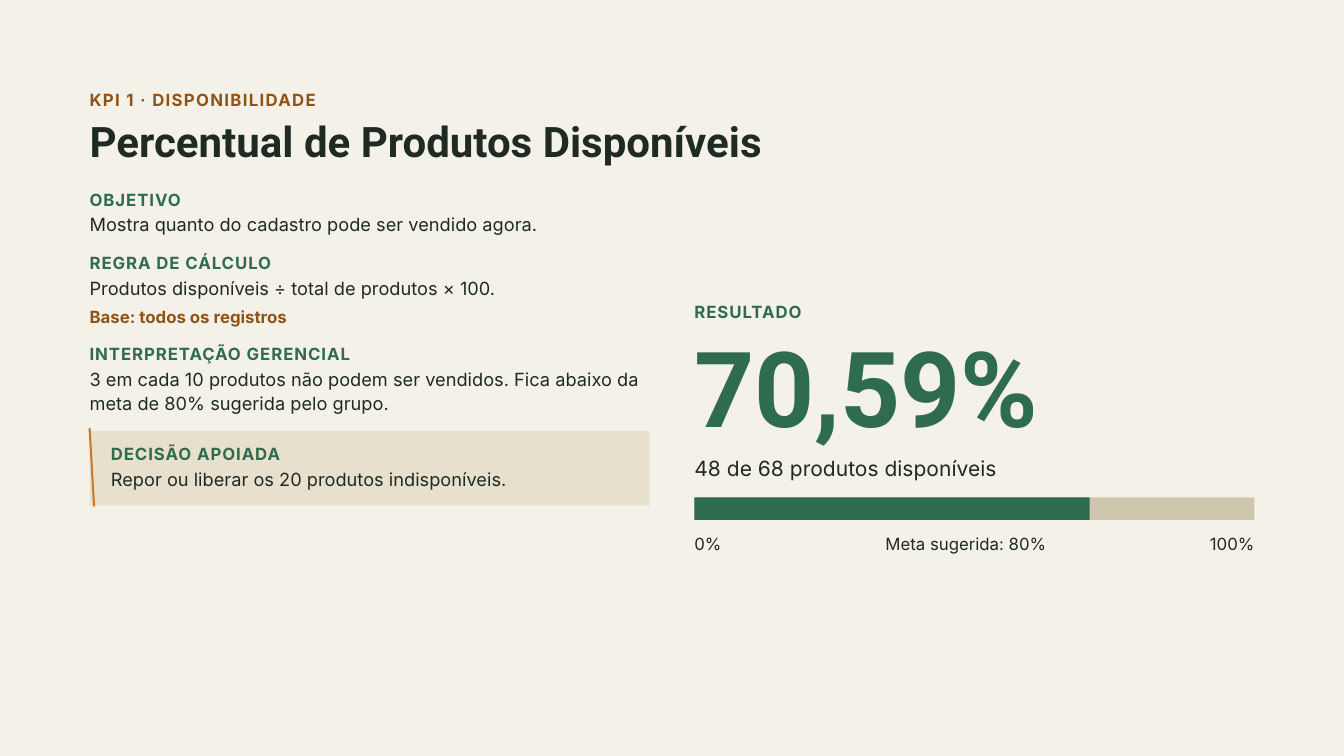
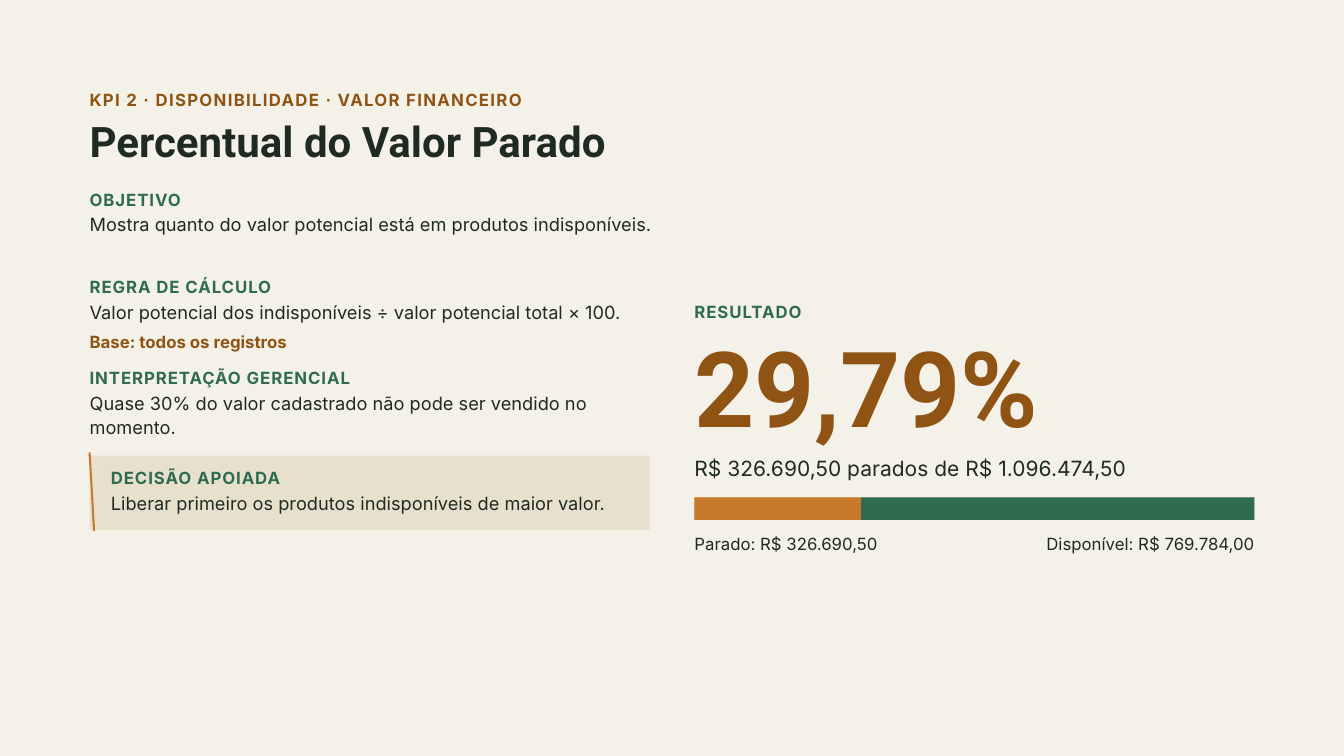
from dataclasses import dataclass

from lxml import etree
from pptx import Presentation
from pptx.dml.color import RGBColor
from pptx.enum.shapes import MSO_CONNECTOR, MSO_SHAPE
from pptx.enum.text import MSO_ANCHOR, MSO_AUTO_SIZE, PP_ALIGN
from pptx.oxml.ns import qn
from pptx.util import Inches, Pt

LEFT, RIGHT = PP_ALIGN.LEFT, PP_ALIGN.RIGHT
TOP = MSO_ANCHOR.TOP
GROW = MSO_AUTO_SIZE.SHAPE_TO_FIT_TEXT
RECT = MSO_SHAPE.RECTANGLE
STRAIGHT = MSO_CONNECTOR.STRAIGHT
TITLE_ONLY = 5


@dataclass(frozen=True)
class Role:
    size: float
    leading: float
    height: float
    font: str = "Inter"
    bold: bool = False
    spacing: float = 0


@dataclass(frozen=True)
class Theme:
    paper: str = "F4F1E8"
    ink: str = "1F2A22"
    green: str = "2F6B4F"
    brown: str = "8F5314"
    orange: str = "C8792B"
    sand: str = "E7E0CD"
    track: str = "CFC6AE"
    kicker: Role = Role(18, 21.6, 1.02, bold=True, spacing=1.4)
    title: Role = Role(45, 49.5, 2.13, font="Roboto", bold=True)
    label: Role = Role(18, 21.6, 1.02, bold=True, spacing=1)
    body: Role = Role(19.5, 26.3, 1.35)
    base: Role = Role(18, 24.3, 1.22, bold=True)
    figure: Role = Role(112.5, 129.4, 5.52, font="Roboto", bold=True)
    detail: Role = Role(22.5, 30.4, 1.53)
    scale: Role = Role(18, 21.6, 1.02)


T = Theme()
WIDTH, HEIGHT = Inches(20), Inches(11.25)
CELL = WIDTH / 60
MARGIN, RESULT = 4, 31
PANEL_W, TEXT_W, TITLE_W = 25, 25.75, 53.55
INDENT = 0.95
LABEL_STEP, EXTRA_LINE, GAP = 0.97, 1.09, 0.51


def grid(*cells):
    return [round(c * CELL) for c in cells]


def rgb(color):
    return RGBColor.from_string(color)


def write(tf, text, role=T.body, color=T.ink, align=LEFT):
    tf.margin_left = tf.margin_right = tf.margin_top = tf.margin_bottom = 0
    tf.word_wrap = True
    tf.auto_size = GROW
    tf.vertical_anchor = TOP
    p = tf.paragraphs[0]
    p.alignment = align
    p.line_spacing = Pt(role.leading)
    r = p.add_run()
    r.text = text
    r.font.name, r.font.size, r.font.bold = role.font, Pt(role.size), role.bold
    r.font.color.rgb = rgb(color)
    if role.spacing:
        r.font._element.set("spc", str(round(role.spacing * 100)))


class Deck:
    def __init__(self, theme):
        self.t = theme
        self.prs = Presentation()
        self.prs.slide_width, self.prs.slide_height = WIDTH, HEIGHT
        self.s = None

    def slide(self, kicker, title):
        self.s = self.prs.slides.add_slide(self.prs.slide_layouts[TITLE_ONLY])
        fill = self.s.background.fill
        fill.solid()
        fill.fore_color.rgb = rgb(self.t.paper)
        self.text(kicker, MARGIN, 4, TITLE_W, role=self.t.kicker, color=self.t.brown)
        sp = self.s.shapes.title
        sp.left, sp.top, sp.width, sp.height = grid(MARGIN, 5.35, TITLE_W, self.t.title.height)
        write(sp.text_frame, title, role=self.t.title)

    def text(self, text, x, y, w=TEXT_W, lines=1, role=T.body, **fmt):
        h = role.height + (lines - 1) * EXTRA_LINE
        sp = self.s.shapes.add_textbox(*grid(x, y, w, h))
        write(sp.text_frame, text, role=role, **fmt)
        return y + h

    def label(self, text, x, y, w=TEXT_W):
        self.text(text, x, y, w, role=self.t.label, color=self.t.green)
        return y + LABEL_STEP

    def rect(self, x, y, w, h, color):
        sp = self.s.shapes.add_shape(RECT, *grid(x, y, w, h))
        sp.shadow.inherit = False
        sp.fill.solid()
        sp.fill.fore_color.rgb = rgb(color)
        sp.line.fill.background()

    def line(self, x1, y1, x2, y2, color, width=2.25):
        sp = self.s.shapes.add_connector(STRAIGHT, *grid(x1, y1, x2, y2))
        sp.line.color.rgb = rgb(color)
        sp.line.width = Pt(width)
        etree.SubElement(sp._element.spPr, qn("a:effectLst"))

    def section(self, label, text, y, lines=1, base=None):
        y = self.text(text, MARGIN, self.label(label, MARGIN, y), lines=lines)
        if base:
            y = self.text(base, MARGIN, y, role=self.t.base, color=self.t.brown)
        return y + GAP

    def decision(self, text, y, h=3.31):
        self.rect(MARGIN, y, PANEL_W, h, self.t.sand)
        self.line(MARGIN, y - 0.14, MARGIN + 0.2, y + h + 0.05, self.t.orange)
        x, w = MARGIN + INDENT, PANEL_W - INDENT
        self.text(text, x, self.label("DECISÃO APOIADA", x, y + 0.55, w), w)

    def bar(self, parts, y=22.21, h=1):
        self.rect(RESULT, y, PANEL_W, h, self.t.track)
        x = RESULT
        for share, color in parts:
            self.rect(x, y, share * PANEL_W, h, color)
            x += share * PANEL_W

    def scale(self, marks, y=23.82):
        gap = (PANEL_W - sum(w for _, w in marks)) / (len(marks) - 1)
        x = RESULT
        for i, (text, w) in enumerate(marks):
            box = w * 1.2
            last = i == len(marks) - 1
            self.text(text, RESULT + PANEL_W - box if last else x, y, box,
                      role=self.t.scale, align=RIGHT if last else LEFT)
            x += w + gap

    def result(self, figure, color, detail, parts, marks):
        self.label("RESULTADO", RESULT, 13.47)
        self.text(figure, RESULT, 14.65, role=self.t.figure, color=color)
        self.text(detail, RESULT, 20.18, role=self.t.detail)
        self.bar(parts)
        self.scale(marks)

    def kpi(self, kicker, title, goal, rule, reading, decision, result, goal_lines=1):
        self.slide(kicker, title)
        y = self.section("OBJETIVO", goal, 8.45, lines=goal_lines)
        y = self.section("REGRA DE CÁLCULO", rule, y, base="Base: todos os registros")
        y = self.section("INTERPRETAÇÃO GERENCIAL", reading, y, lines=2)
        self.decision(decision, y)
        self.result(**result)


def main():
    deck = Deck(T)
    deck.kpi(
        kicker="KPI 1 · DISPONIBILIDADE",
        title="Percentual de Produtos Disponíveis",
        goal="Mostra quanto do cadastro pode ser vendido agora.",
        rule="Produtos disponíveis ÷ total de produtos × 100.",
        reading="3 em cada 10 produtos não podem ser vendidos. "
                "Fica abaixo da meta de 80% sugerida pelo grupo.",
        decision="Repor ou liberar os 20 produtos indisponíveis.",
        result=dict(
            figure="70,59%", color=T.green, detail="48 de 68 produtos disponíveis",
            parts=[(48 / 68, T.green)],
            marks=[("0%", 1.23), ("Meta sugerida: 80%", 7.18), ("100%", 2)],
        ),
    )
    stopped, available = 326690.50, 769784.00
    total = stopped + available
    deck.kpi(
        kicker="KPI 2 · DISPONIBILIDADE · VALOR FINANCEIRO",
        title="Percentual do Valor Parado",
        goal="Mostra quanto do valor potencial está em produtos indisponíveis.",
        goal_lines=2,
        rule="Valor potencial dos indisponíveis ÷ valor potencial total × 100.",
        reading="Quase 30% do valor cadastrado não pode ser vendido no momento.",
        decision="Liberar primeiro os produtos indisponíveis de maior valor.",
        result=dict(
            figure="29,79%", color=T.brown,
            detail="R$ 326.690,50 parados de R$ 1.096.474,50",
            parts=[(stopped / total, T.orange), (available / total, T.green)],
            marks=[("Parado: R$ 326.690,50", 8.18), ("Disponível: R$ 769.784,00", 9.3)],
        ),
    )
    deck.prs.save("out.pptx")


if __name__ == "__main__":
    main()
